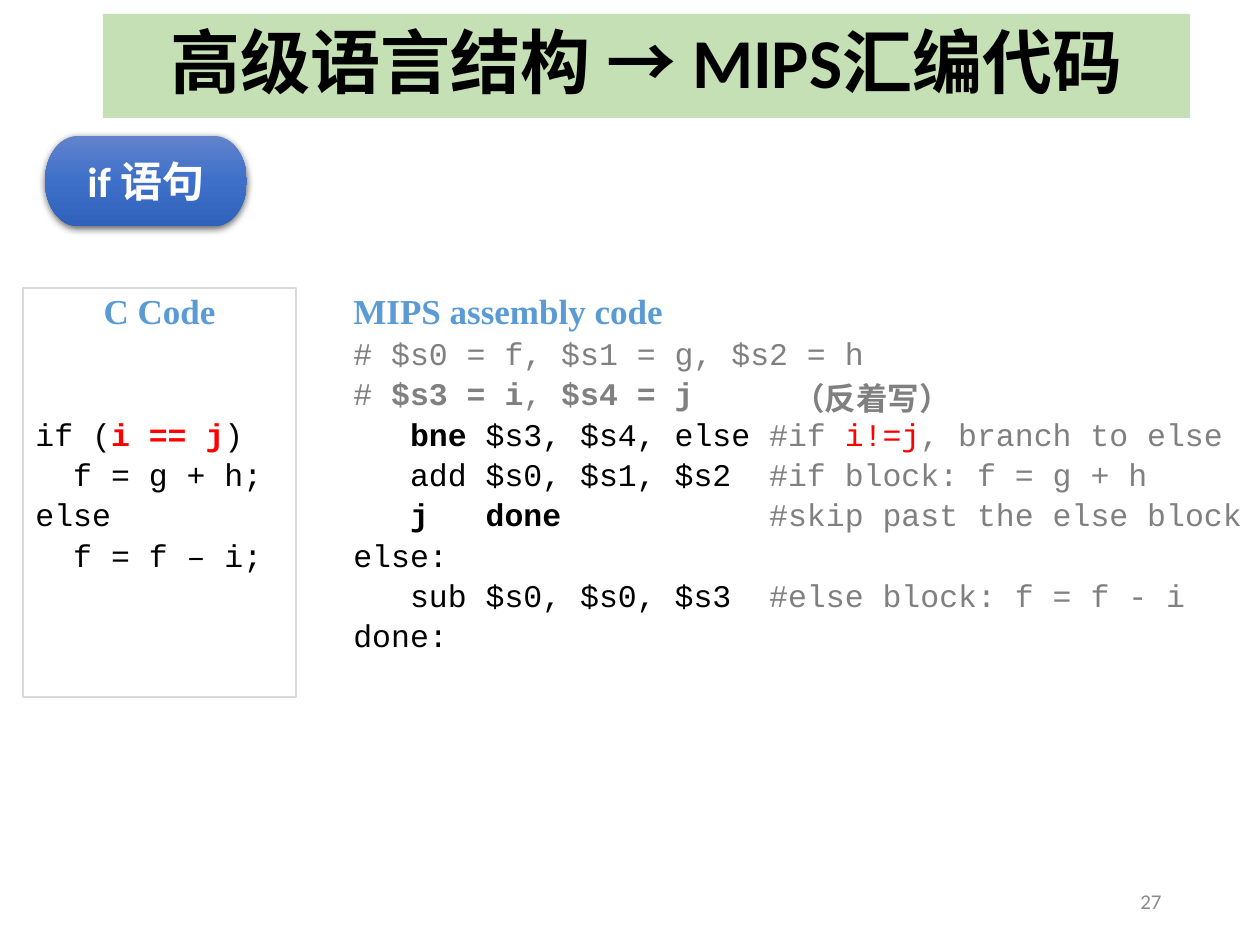
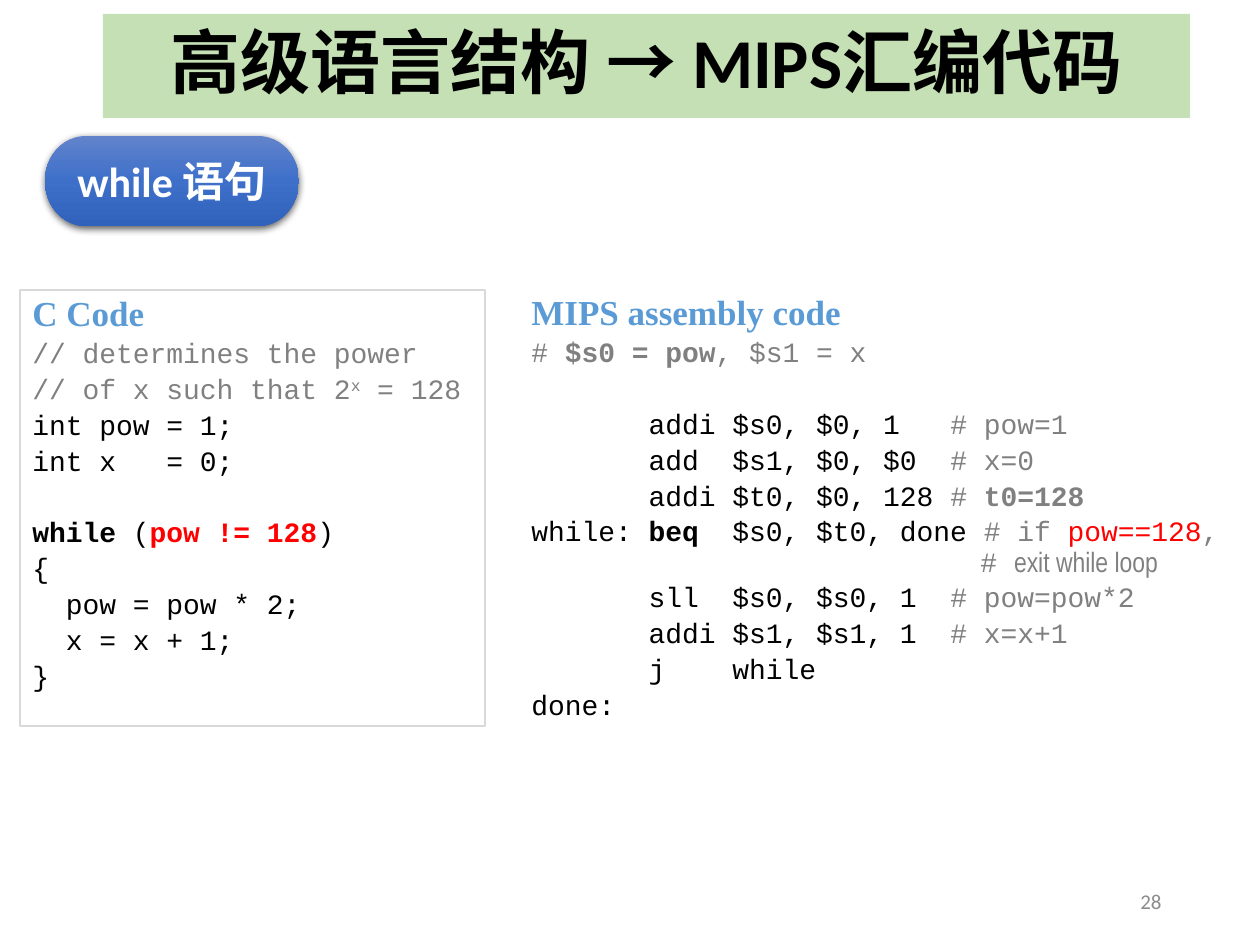
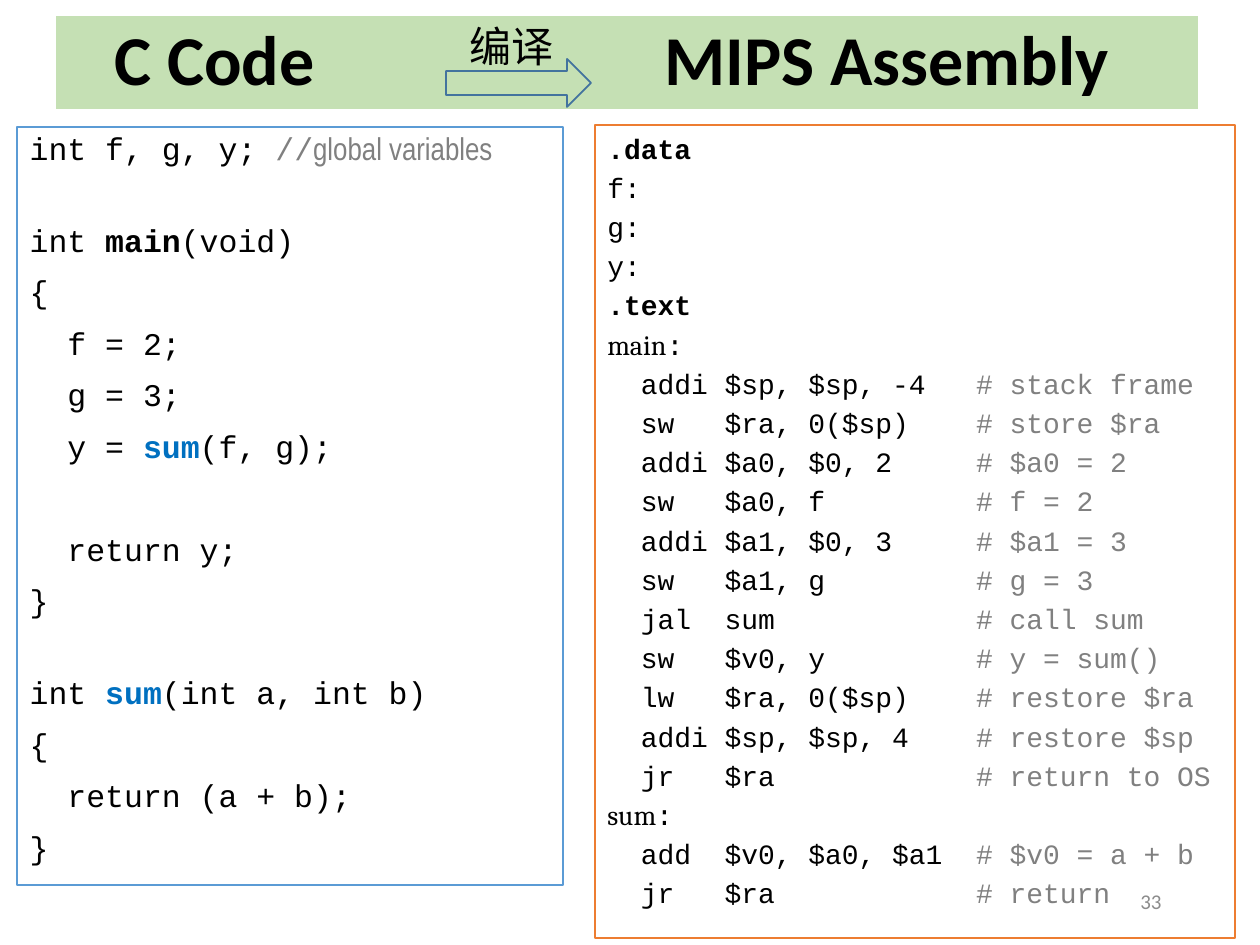
from lxml import etree
from pptx import Presentation
from pptx import util as u
from pptx.dml.color import RGBColor
from pptx.enum import shapes, text
from pptx.oxml import parse_xml
from pptx.oxml.ns import nsdecls, qn

EMU_PER_PX = 914400 / 126
COLORS = {
    "text": "000000", "comment": "808080", "red": "FF0000", "function": "0070C0",
    "heading": "5B9BD5", "white": "FFFFFF", "band": "C5E0B4", "frame": "D9D9D9",
    "c_frame": "5B9BD5", "mips_frame": "ED7D31", "arrow": "43739E", "number": "8C8C8C",
}
PILL_STOPS = [(0, "6183CB"), (50000, "3E70CA"), (100000, "3062BB")]
CODE_FONT = "Courier New"
STYLE_COLORS = {"r": "red", "f": "function"}
STYLE_FONTS = {"n": "Arial Narrow", "m": "Cambria"}
TITLE = "高级语言结构 → MIPS汇编代码"
LINE_HEIGHT = 1.2  # line height per point of type

# A code line is a string or a list of strings and (text, style letters):
# b bold, r red, f function blue, n narrow, m serif, ^ superscript.
# A number stands for an empty line of that point size.
IF_C = [
    18, 18,
    ["if (", ("i == j", "rb"), ")"],
    "  f = g + h;",
    "else",
    "  f = f – i;",
]
IF_MIPS = [
    "# $s0 = f, $s1 = g, $s2 = h",
    ["# ", ("$s3 = i", "b"), ", ", ("$s4 = j", "b")],
    ["   ", ("bne ", "b"), "$s3, $s4, else #if ", ("i!=j", "r"), ", branch to else"],
    "   add $s0, $s1, $s2  #if block: f = g + h",
    ["   ", ("j   done           ", "b"), "#skip past the else block"],
    "else:",
    "   sub $s0, $s0, $s3  #else block: f = f - i",
    "done:",
]
WHILE_C = [
    "// determines the power",
    ["// of x such that 2", ("x", "^"), " = 128"],
    "int pow = 1;",
    "int x   = 0;",
    16,
    [("while", "b"), " (", ("pow != 128", "rb"), ")"],
    "{",
    "  pow = pow * 2;",
    "  x = x + 1;",
    "}",
]
WHILE_MIPS = [
    ["# ", ("$s0 = pow", "b"), ", $s1 = x"],
    16,
    "       addi $s0, $0, 1   # pow=1",
    "       add  $s1, $0, $0  # x=0",
    ["       addi $t0, $0, 128 # ", ("t0=128", "b")],
    ["while: ", ("beq", "b"), "  $s0, $t0, done # if ", ("pow==128", "r"),
     ",\n                        # ", ("exit while loop", "n")],
    "       sll  $s0, $s0, 1  # pow=pow*2",
    "       addi $s1, $s1, 1  # x=x+1",
    "       j    while",
    "done:",
]
CALL_C = [
    ["int f, g, y; //", ("global variables", "n")],
    12,
    ["int ", ("main", "b"), "(void)"],
    "{",
    "  f = 2;",
    "  g = 3;",
    ["  y = ", ("sum", "fb"), "(f, g);"],
    18,
    "  return y;",
    "}",
    12,
    ["int ", ("sum", "fb"), "(int a, int b)"],
    "{",
    "  return (a + b);",
    "}",
]
CALL_MIPS = [
    [(".data", "b")],
    "f:",
    "g:",
    "y:",
    [(".text", "b")],
    [("main", "m"), ":"],
    "  addi $sp, $sp, -4   # stack frame",
    "  sw   $ra, 0($sp)    # store $ra",
    "  addi $a0, $0, 2     # $a0 = 2",
    "  sw   $a0, f         # f = 2",
    "  addi $a1, $0, 3     # $a1 = 3",
    "  sw   $a1, g         # g = 3",
    "  jal  sum            # call sum",
    "  sw   $v0, y         # y = sum()",
    "  lw   $ra, 0($sp)    # restore $ra",
    "  addi $sp, $sp, 4    # restore $sp",
    "  jr   $ra            # return to OS",
    [("sum", "m"), ":"],
    "  add  $v0, $a0, $a1  # $v0 = a + b",
    "  jr   $ra            # return",
]


def px(n):
    return u.Emu(round(n * EMU_PER_PX))


def rgb(name):
    return RGBColor.from_string(COLORS[name])


def place(sp, box):
    sp.left, sp.top, sp.width, sp.height = map(px, box)


def set_font(font, size, color="text", name="Calibri", bold=False):
    font.size, font.name, font.bold = u.Pt(size), name, bold
    font.color.rgb = rgb(color)


def paint(sp, fill=None, line=None, width=1):
    if fill:
        sp.fill.solid()
        sp.fill.fore_color.rgb = rgb(fill)
    else:
        sp.fill.background()
    if line:
        sp.line.color.rgb = rgb(line)
        sp.line.width = u.Pt(width)
    else:
        sp.line.fill.background()


def add_preset(s, kind, box, fill=None, line=None, width=1):
    sp = s.shapes.add_shape(kind, *map(px, box))
    sp.shadow.inherit = False
    paint(sp, fill, line, width)
    return sp


def add_label(s, box, label, size, color="text", bold=False, align=None, wrap=False):
    tf = s.shapes.add_textbox(*map(px, box)).text_frame
    tf.word_wrap = wrap
    p = tf.paragraphs[0]
    p.text, p.alignment = label, align
    set_font(p.font, size, color, bold=bold)
    return tf


def add_slide(prs, layout, number):
    s = prs.slides.add_slide(prs.slide_layouts[layout])
    tf = add_label(s, (890, 876, 284, 50), number, 12, "number",
                   align=text.PP_ALIGN.RIGHT, wrap=True)
    tf.vertical_anchor = text.MSO_ANCHOR.MIDDLE
    return s


def set_title(s, box, title, align=text.PP_ALIGN.CENTER, tabs=()):
    sp = s.shapes.title
    place(sp, box)
    paint(sp, "band")
    tf = sp.text_frame
    tf.auto_size = text.MSO_AUTO_SIZE.NONE
    tf.vertical_anchor = text.MSO_ANCHOR.MIDDLE
    p = tf.paragraphs[0]
    p.text, p.alignment, p.line_spacing = title, align, 0.9
    if tabs:
        tab_list = etree.SubElement(p._p.get_or_add_pPr(), qn("a:tabLst"))
        for pos in tabs:
            etree.SubElement(tab_list, qn("a:tab"), pos=str(px(pos)), algn="l")
    set_font(p.font, 40, bold=True)


def add_pill(s, width, label):
    """Statement name on a glossy, shadowed terminator shape."""
    sp = s.shapes.add_shape(shapes.MSO_SHAPE.FLOWCHART_TERMINATOR,
                            *map(px, (45, 136, width, 90)))
    sp.line.fill.background()
    props = sp._element.spPr
    stops = "".join(f'<a:gs pos="{pos}"><a:srgbClr val="{c}"/></a:gs>' for pos, c in PILL_STOPS)
    props.find(qn("a:ln")).addprevious(parse_xml(
        f'<a:gradFill {nsdecls("a")} rotWithShape="1"><a:gsLst>{stops}</a:gsLst>'
        '<a:lin ang="5400000" scaled="0"/></a:gradFill>'))
    props.append(parse_xml(
        f'<a:effectLst {nsdecls("a")}><a:outerShdw blurRad="57150" dist="19050" dir="5400000" '
        'algn="ctr" rotWithShape="0"><a:srgbClr val="000000"><a:alpha val="63000"/>'
        '</a:srgbClr></a:outerShdw></a:effectLst>'))
    tf = sp.text_frame
    tf.word_wrap = False
    tf.vertical_anchor = text.MSO_ANCHOR.MIDDLE
    p = tf.paragraphs[0]
    p.text, p.alignment = label, text.PP_ALIGN.CENTER
    set_font(p.font, 24, "white", bold=True)


def add_run(p, label, style, in_comment):
    r = p.add_run()
    r.text = label
    if in_comment:
        r.font.color.rgb = rgb("comment")
    for letter in style:
        if letter == "b":
            r.font.bold = True
        elif letter == "^":
            r._r.get_or_add_rPr().set("baseline", "30000")
        elif letter in STYLE_COLORS:
            r.font.color.rgb = rgb(STYLE_COLORS[letter])
        else:
            r.font.name = STYLE_FONTS[letter]


def write_line(p, line):
    """Write the runs of one code line; plain text after a comment mark is grey."""
    in_comment = False
    for part in [line] if isinstance(line, str) else line:
        label, style = (part, "") if isinstance(part, str) else part
        marks = [i for i in (label.find("#"), label.find("//")) if i >= 0]
        if marks and not in_comment:
            if marks[0]:
                add_run(p, label[:marks[0]], style, False)
            label, in_comment = label[marks[0]:], True
        for i, piece in enumerate(label.split("\n")):
            if i:
                p.add_line_break()
            add_run(p, piece, style, in_comment)


def write_code(tf, lines, size, heading=None, align=text.PP_ALIGN.LEFT,
               spacing=0.9, before=None, indent=47):
    before = 0.2 * size if before is None else before
    tf.word_wrap = True
    tf.auto_size = text.MSO_AUTO_SIZE.NONE
    tf.vertical_anchor = text.MSO_ANCHOR.TOP
    p, gap = tf.paragraphs[0], 0

    def format_line(p, space, align):
        p.alignment, p.line_spacing = align, spacing
        p.space_before = u.Pt(round(space, 1))
        props = p._p.get_or_add_pPr()
        props.set("marL", str(px(indent)))
        props.set("indent", str(px(-indent)))
        etree.SubElement(props, qn("a:buNone"))

    if heading:
        format_line(p, 0, align)
        p.text = heading
        set_font(p.font, 20, "heading", "Times New Roman", True)
        p, gap = tf.add_paragraph(), before
    for line in lines:
        if isinstance(line, int):
            gap += line * LINE_HEIGHT * spacing + before
            continue
        if p is None:
            p = tf.add_paragraph()
        format_line(p, gap, text.PP_ALIGN.LEFT)
        set_font(p.font, size, name=CODE_FONT)
        write_line(p, line)
        p, gap = None, before


def add_statement_slide(prs, number, pill, c_box, c_code, mips_box, mips_code, size, align):
    s = add_slide(prs, 5, number)
    set_title(s, (103, 14, 1087, 104), TITLE)
    add_pill(s, *pill)
    frame = add_preset(s, shapes.MSO_SHAPE.RECTANGLE, c_box, line="frame", width=0.75)
    write_code(frame.text_frame, c_code, size, "C Code", align)
    mips = s.shapes.add_textbox(*map(px, mips_box))
    write_code(mips.text_frame, mips_code, size, "MIPS assembly code")
    return s


def add_call_slide(prs):
    s = add_slide(prs, 1, "33")
    set_title(s, (56, 16, 1142, 93), "\tC Code\tMIPS Assembly", text.PP_ALIGN.LEFT, (46, 596))
    body = s.placeholders[1]
    place(body, (17, 127, 546, 758))
    paint(body, "white", "c_frame")
    write_code(body.text_frame, CALL_C, 18, before=10, indent=32)
    add_preset(s, shapes.MSO_SHAPE.RIGHT_ARROW, (446, 59, 145, 48), line="arrow")
    mips = add_preset(s, shapes.MSO_SHAPE.RECTANGLE, (595, 125, 640, 813), "white", "mips_frame")
    write_code(mips.text_frame, CALL_MIPS, 16, spacing=1.0)
    add_label(s, (457, 14, 111, 63), "编译", 24)
    number = s.shapes[2]._element
    number.getparent().append(number)


def main():
    prs = Presentation()
    prs.slide_width, prs.slide_height = px(1260), px(945)
    s = add_statement_slide(prs, "27", (202, "if 语句"), (23, 288, 273, 409), IF_C,
                            (341, 288, 919, 409), IF_MIPS, 18, text.PP_ALIGN.CENTER)
    add_label(s, (781, 373, 185, 50), "（反着写）", 18, "comment", True)
    add_statement_slide(prs, "28", (254, "while 语句"), (20, 290, 465, 436), WHILE_C,
                        (519, 289, 732, 465), WHILE_MIPS, 16, text.PP_ALIGN.LEFT)
    add_call_slide(prs)
    prs.save("out.pptx")


if __name__ == "__main__":
    main()
